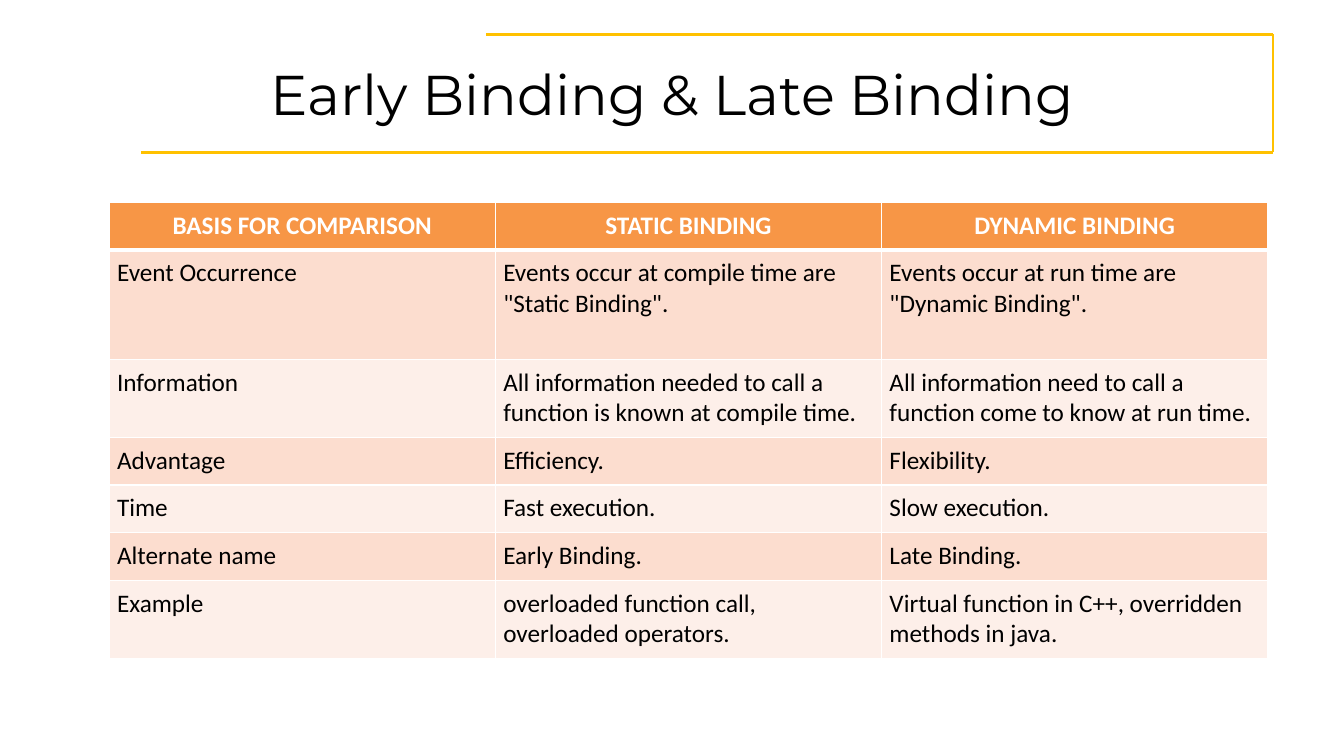
import pptx
import pptx.dml.color
import pptx.enum.shapes
import pptx.enum.text
import pptx.oxml
import pptx.oxml.ns
import pptx.util

Cm, Pt = pptx.util.Cm, pptx.util.Pt
ALIGN = pptx.enum.text.PP_ALIGN
ANCHOR = pptx.enum.text.MSO_ANCHOR

COLORS = {
    "frame": "FFC100",
    "header": "F79646",
    "odd": "FCDDCF",
    "even": "FDEFE9",
    "black": "000000",
    "white": "FFFFFF",
}
TITLE_FONT = {"name": "Montserrat", "size": Pt(40), "bold": False}
HEADER_FONT = {"name": "Calibri", "size": Pt(18), "bold": True}
BODY_FONT = {"name": "Calibri", "size": Pt(18), "bold": False}
MARGINS = {f"margin_{side}": Cm(0.2) for side in ("left", "right", "top", "bottom")}

ROWS = [
    ("BASIS FOR COMPARISON", "STATIC BINDING", "DYNAMIC BINDING"),
    ("Event Occurrence", 'Events occur at compile time are "Static Binding".',
     'Events occur at run time are "Dynamic Binding".'),
    ("Information", "All information needed to call a function is known at compile time.",
     "All information need to call a function come to know at run time."),
    ("Advantage", "Efficiency.", "Flexibility."),
    ("Time", "Fast execution.", "Slow execution."),
    ("Alternate name", "Early Binding.", "Late Binding."),
    ("Example", "overloaded function call, overloaded operators.",
     "Virtual function in C++, overridden methods in java."),
]
ROW_HEIGHTS = [1.2, 2.75, 1.97, 1.2, 1.2, 1.2, 1.97]


def rgb(name):
    return pptx.dml.color.RGBColor.from_string(COLORS[name])


def set_attrs(obj, values):
    for name, value in values.items():
        setattr(obj, name, value)


def write(tf, text, font, color, align):
    p = tf.paragraphs[0]
    p.alignment = align
    r = p.add_run()
    r.text = text
    set_attrs(r.font, font)
    r.font.color.rgb = rgb(color)


def set_borders(cell, widths):
    """Add white borders; widths maps L, R, T and B to points, in that order."""
    tcPr = cell._tc.get_or_add_tcPr()
    for i, (side, width) in enumerate(widths.items()):
        ln = pptx.oxml.parse_xml(
            f'<a:ln{side} {pptx.oxml.ns.nsdecls("a")} w="{Pt(width)}"><a:solidFill>'
            f'<a:srgbClr val="{COLORS["white"]}"/></a:solidFill></a:ln{side}>')
        tcPr.insert(i, ln)


def add_frame(slide, x, y, w, h):
    """Open frame: the top line starts further right than the bottom one."""
    points = [(x + 8.69, y), (x + w, y), (x + w, y + h), (x, y + h)]
    for start, end in zip(points, points[1:]):
        cx = slide.shapes.add_connector(
            pptx.enum.shapes.MSO_CONNECTOR.STRAIGHT, *map(Cm, start + end))
        cx.line.color.rgb = rgb("frame")
        cx.line.width = Pt(2)
        cx._element.spPr.append(
            pptx.oxml.parse_xml(f'<a:effectLst {pptx.oxml.ns.nsdecls("a")}/>'))


def add_title(slide, x, y, w, h):
    sp = slide.shapes.title
    set_attrs(sp, {"left": Cm(x), "top": Cm(y), "width": Cm(w), "height": Cm(h)})
    tf = sp.text_frame
    tf.vertical_anchor = ANCHOR.MIDDLE
    write(tf, "Early Binding & Late Binding", TITLE_FONT, "black", ALIGN.CENTER)


def add_comparison(slide, x, y, w):
    box = map(Cm, (x, y, w, sum(ROW_HEIGHTS)))
    table = slide.shapes.add_table(len(ROWS), len(ROWS[0]), *box).table
    for col in table.columns:
        col.width = Cm(w / len(ROWS[0]))
    for i, (texts, height) in enumerate(zip(ROWS, ROW_HEIGHTS)):
        table.rows[i].height = Cm(height)
        header = i == 0
        fill = "header" if header else "odd" if i % 2 else "even"
        for j, text in enumerate(texts):
            cell = table.cell(i, j)
            set_attrs(cell, MARGINS)
            cell.vertical_anchor = ANCHOR.MIDDLE if header else ANCHOR.TOP
            cell.fill.solid()
            cell.fill.fore_color.rgb = rgb(fill)
            set_borders(cell, {"L": 1, "R": 1, "T": 3 if i == 1 else 1,
                               "B": 3 if header else 1})
            if header:
                write(cell.text_frame, text, HEADER_FONT, "white", ALIGN.CENTER)
            else:
                write(cell.text_frame, text, BODY_FONT, "black", ALIGN.LEFT)


def main():
    prs = pptx.Presentation()
    set_attrs(prs, {"slide_width": Cm(33.87), "slide_height": Cm(19.05)})
    slide = prs.slides.add_slide(prs.slide_layouts[5])  # title only
    add_frame(slide, 3.56, 0.86, 28.52, 2.98)
    add_title(slide, 1.7, 0.76, 30.48, 3.18)
    add_comparison(slide, 2.75, 5.1, 29.2)
    prs.save("out.pptx")


if __name__ == "__main__":
    main()
